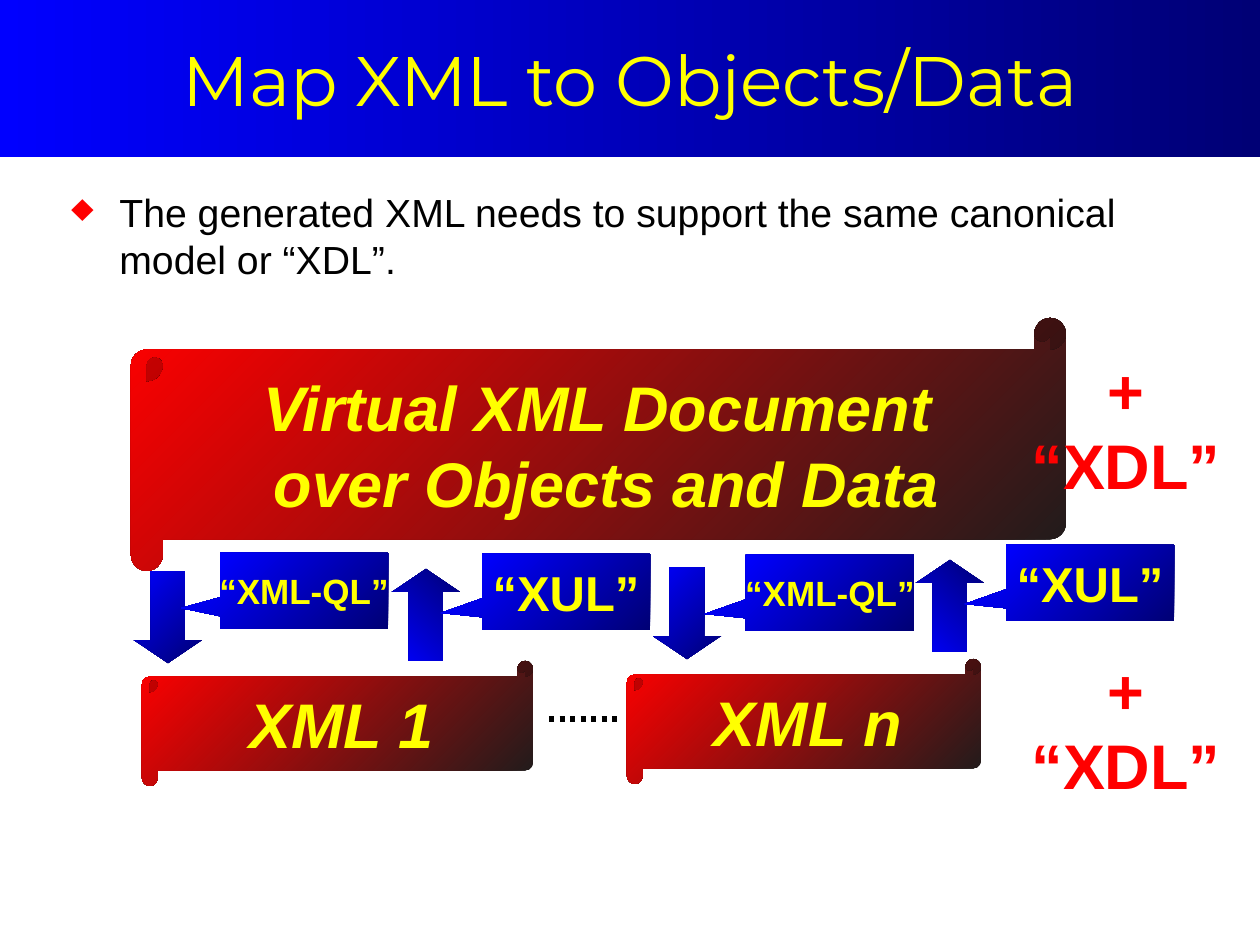
from lxml.etree import SubElement
from pptx import Presentation
from pptx.dml.color import RGBColor
from pptx.enum.dml import MSO_LINE
from pptx.enum.shapes import MSO_CONNECTOR, MSO_SHAPE as SHAPE
from pptx.enum.text import MSO_ANCHOR, MSO_AUTO_SIZE, PP_ALIGN
from pptx.oxml.ns import qn
from pptx.util import Emu, Pt

BLACK = RGBColor(0x00, 0x00, 0x00)
CHARCOAL = RGBColor(0x1C, 0x1C, 0x1C)
RED = RGBColor(0xFF, 0x00, 0x00)
YELLOW = RGBColor(0xFF, 0xFF, 0x00)
NAVY = RGBColor(0x00, 0x00, 0x75)
BLUE = RGBColor(0x00, 0x00, 0xFF)

BLUES = (NAVY, BLUE)
REDS = (CHARCOAL, RED)
TITLE = {"size": Pt(40), "name": "Montserrat"}
BODY = {"size": Pt(22.4), "name": "Arial"}
SCROLL = {"size": Pt(36), "name": "Arial", "bold": True, "italic": True}
XDL = {"size": Pt(36), "name": "Arial", "bold": True}
QUERY = {"size": Pt(20), "name": "Arial", "bold": True}
UPDATE = {"size": Pt(28), "name": "Arial", "bold": True}


def px(*values):
    """Turn whole pixels into EMU."""
    return [Emu(round(v * 914400 / 126)) for v in values]


def write(tf, lines, fmt, color, align=PP_ALIGN.CENTER):
    """Fill a text frame with one paragraph per line."""
    for i, line in enumerate(lines):
        p = tf.paragraphs[0] if i == 0 else tf.add_paragraph()
        p.alignment = align
        r = p.add_run()
        r.text = line
        r.font.color.rgb = color
        for key, value in fmt.items():
            setattr(r.font, key, value)


def add_shape(sp, kind, box, colors, angle=135, adjust=()):
    """Add a borderless preset shape with a two-colour gradient."""
    s = sp.add_shape(kind, *px(*box))
    s.shadow.inherit = False
    s.line.fill.background()
    s.fill.gradient()
    s.fill.gradient_angle = angle
    for stop, color in zip(s.fill.gradient_stops, colors):
        stop.color.rgb = color
    for i, value in enumerate(adjust):
        s.adjustments[i] = value
    return s


def add_label(s, lines, fmt):
    """Centre yellow text in a shape without wrapping it."""
    tf = s.text_frame
    tf.word_wrap = False
    tf.vertical_anchor = MSO_ANCHOR.MIDDLE
    write(tf, lines, fmt, YELLOW)


def add_scroll(sp, box, lines):
    """Add a red document scroll."""
    s = add_shape(sp, SHAPE.HORIZONTAL_SCROLL, box, REDS, adjust=(0.125,))
    add_label(s, lines, SCROLL)


def add_arrow(sp, x, y, up):
    """Add a blue block arrow pointing up or down."""
    s = add_shape(sp, SHAPE.DOWN_ARROW, (x, y, 68, 92), BLUES, adjust=(0.5, 0.338))
    if up:
        s._element.spPr.xfrm.set("flipV", "1")


def add_callout(sp, x, y, text, fmt, tail):
    """Add a blue callout whose tail points at an arrow."""
    box = (x, y, 168, 76)
    s = add_shape(sp, SHAPE.RECTANGULAR_CALLOUT, box, BLUES, adjust=tail)
    add_label(s, [text], fmt)


def add_bullet(sp, box, text):
    """Add a text box holding one diamond bullet."""
    tf = sp.add_textbox(*px(*box)).text_frame
    tf.word_wrap = True
    write(tf, [text], BODY, BLACK, PP_ALIGN.LEFT)
    pPr = tf.paragraphs[0]._p.get_or_add_pPr()
    indent = px(48)[0]
    pPr.set("marL", str(indent))
    pPr.set("indent", str(-indent))
    SubElement(SubElement(pPr, qn("a:buClr")), qn("a:srgbClr"), val=str(RED))
    SubElement(pPr, qn("a:buChar"), char="♦")


def add_xdl(sp, y):
    """Add the red XDL note at the right edge."""
    tf = sp.add_textbox(*px(992, y, 268, 88)).text_frame
    tf.word_wrap = False
    tf.auto_size = MSO_AUTO_SIZE.SHAPE_TO_FIT_TEXT
    tf.vertical_anchor = MSO_ANCHOR.MIDDLE
    write(tf, ["+ “XDL”"], XDL, RED)


def add_dots(sp, x1, x2, y):
    """Add the dotted line between the small scrolls."""
    s = sp.add_connector(MSO_CONNECTOR.STRAIGHT, *px(x1, y, x2, y))
    s.line.color.rgb = BLACK
    s.line.width = Pt(3)
    s.line.dash_style = MSO_LINE.ROUND_DOT
    SubElement(s._element.spPr, qn("a:effectLst"))


def main():
    """Build and save the slide."""
    prs = Presentation()
    prs.slide_width, prs.slide_height = px(1260, 945)
    sp = prs.slides.add_slide(prs.slide_layouts[6]).shapes

    title = add_shape(sp, SHAPE.RECTANGLE, (0, 0, 1260, 157), BLUES, angle=180)
    add_label(title, ["Map XML to Objects/Data"], TITLE)
    add_bullet(sp, (59, 182, 1147, 113),
               "The generated XML needs to support the same canonical model or “XDL”.")

    add_scroll(sp, (131, 318, 935, 253), ["Virtual XML Document ", "over Objects and Data"])
    near, far = (-0.733, 0.225), (-0.747, 0.277)
    for ax, ay, up, cx, cy, tail in (
        (134, 571, False, 220, 553, near),
        (392, 569, True, 482, 554, far),
        (653, 567, False, 746, 555, far),
        (916, 560, True, 1006, 545, far),
    ):
        text, fmt = ("“XUL”", UPDATE) if up else ("“XML-QL”", QUERY)
        add_arrow(sp, ax, ay, up)
        add_callout(sp, cx, cy, text, fmt, tail)

    add_scroll(sp, (142, 661, 391, 125), ["XML 1"])
    add_scroll(sp, (627, 659, 354, 125), ["XML n"])
    add_dots(sp, 549, 619, 719)
    for y in (383, 683):
        add_xdl(sp, y)

    prs.save("out.pptx")


if __name__ == "__main__":
    main()
